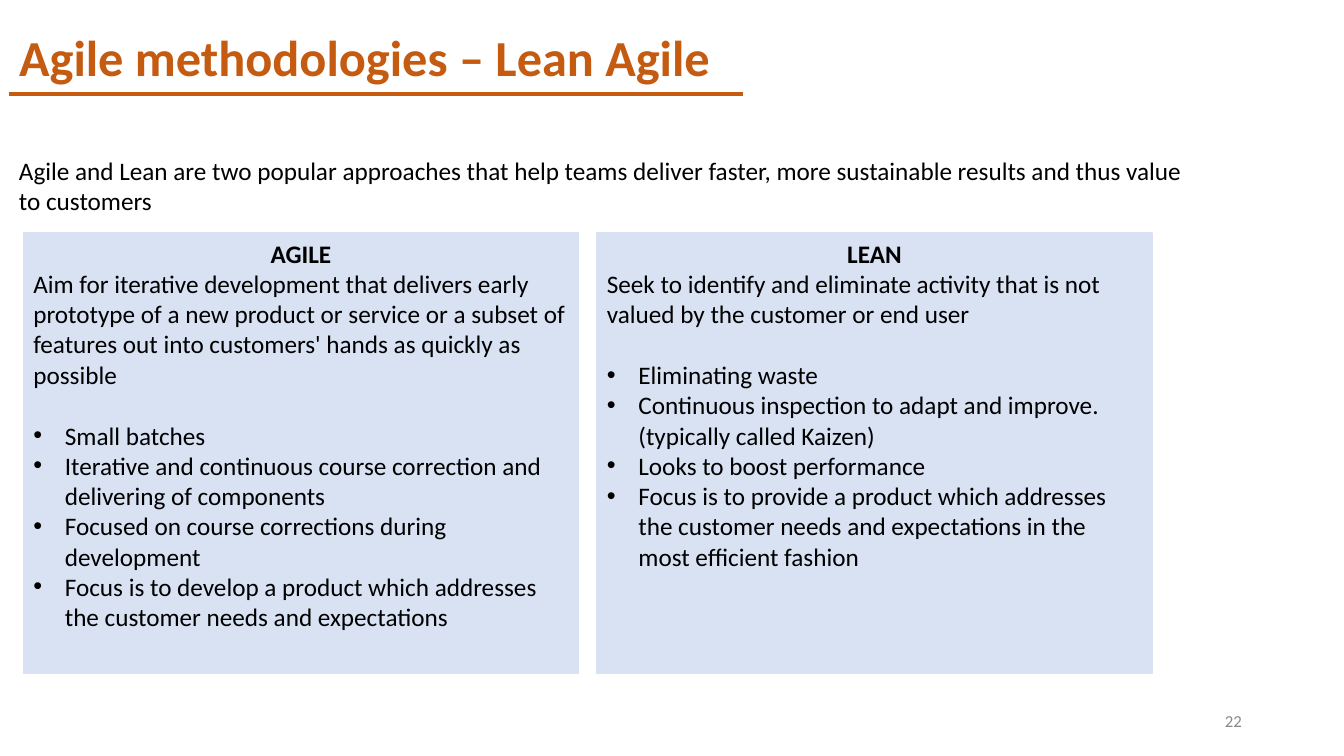
import dataclasses

import lxml.etree
import pptx
import pptx.dml.color
import pptx.enum.shapes
import pptx.enum.text
import pptx.oxml.ns
import pptx.util

Pt = pptx.util.Pt
ALIGN = pptx.enum.text.PP_ALIGN
ANCHOR = pptx.enum.text.MSO_ANCHOR
ORANGE, BLACK, GREY, PALE_BLUE = "C55A11", "000000", "888888", "D8E2F3"
LINE_GAP = 22
BULLET_INDENT = 22.5


@dataclasses.dataclass
class Para:
    text: str
    size: float = 18
    color: str = BLACK
    bold: bool = False
    align: ALIGN = ALIGN.LEFT
    after: float = 0
    bullet: bool = False


@dataclasses.dataclass
class Panel:
    heading: str
    aim: str
    points: list[str]


def rgb(value: str) -> pptx.dml.color.RGBColor:
    return pptx.dml.color.RGBColor.from_string(value)


def set_attrs(target, values: dict) -> None:
    for name, value in values.items():
        setattr(target, name, value)


def place(sp, left: float, top: float, width: float, height: float) -> None:
    set_attrs(sp, {"left": Pt(left), "top": Pt(top),
                   "width": Pt(width), "height": Pt(height)})


def set_bullet(p, shown: bool) -> None:
    pPr = p._p.get_or_add_pPr()
    indent = Pt(BULLET_INDENT) if shown else 0
    pPr.set("marL", str(indent))
    pPr.set("indent", str(-indent))
    qn = pptx.oxml.ns.qn
    if not shown:
        lxml.etree.SubElement(pPr, qn("a:buNone"))
        return
    color = lxml.etree.SubElement(pPr, qn("a:buClr"))
    lxml.etree.SubElement(color, qn("a:srgbClr"), val=BLACK)
    lxml.etree.SubElement(pPr, qn("a:buFont"), typeface="Arial")
    lxml.etree.SubElement(pPr, qn("a:buChar"), char="•")


def write(sp, paras: list[Para], anchor: ANCHOR = ANCHOR.TOP) -> None:
    tf = sp.text_frame
    set_attrs(tf, {"word_wrap": True, "vertical_anchor": anchor,
                   "auto_size": pptx.enum.text.MSO_AUTO_SIZE.NONE})
    for i, para in enumerate(paras):
        p = tf.add_paragraph() if i else tf.paragraphs[0]
        set_attrs(p, {"alignment": para.align, "line_spacing": 1.0,
                      "space_before": Pt(0), "space_after": Pt(para.after)})
        set_bullet(p, para.bullet)
        r = p.add_run()
        r.text = para.text
        set_attrs(r.font, {"name": "Calibri", "size": Pt(para.size), "bold": para.bold})
        r.font.color.rgb = rgb(para.color)


def draw_panel(sp, panel: Panel, left: float) -> None:
    place(sp, left, 166.3, 396.7, 314.6)
    sp.fill.solid()
    sp.fill.fore_color.rgb = rgb(PALE_BLUE)
    sp.line.color.rgb = rgb(PALE_BLUE)
    sp.line.width = Pt(1)
    write(sp, [Para(panel.heading, bold=True, align=ALIGN.CENTER),
               Para(panel.aim, after=LINE_GAP),
               *(Para(point, bullet=True) for point in panel.points)])


PANELS = [
    Panel("AGILE",
          "Aim for iterative development that delivers early prototype of a new product "
          "or service or a subset of features out into customers' hands as quickly as possible",
          ["Small batches",
           "Iterative and continuous course correction and delivering of components",
           "Focused on course corrections during development",
           "Focus is to develop a product which addresses the customer needs and expectations"]),
    Panel("LEAN",
          "Seek to identify and eliminate activity that is not valued by the customer or end user",
          ["Eliminating waste",
           "Continuous inspection to adapt and improve. (typically called Kaizen)",
           "Looks to boost performance",
           "Focus is to provide a product which addresses the customer needs and "
           "expectations in the most efficient fashion"]),
]


def main() -> None:
    prs = pptx.Presentation()
    set_attrs(prs, {"slide_width": Pt(960), "slide_height": Pt(540)})
    s = prs.slides.add_slide(prs.slide_layouts.get_by_name("Two Content"))

    # Title and its underline
    title = s.shapes.title
    place(title, 6.5, 15.1, 850.3, 36)
    write(title, [Para("Agile methodologies – Lean Agile", 36, ORANGE, bold=True)])
    rule = s.shapes.add_connector(pptx.enum.shapes.MSO_CONNECTOR.STRAIGHT,
                                  Pt(6.5), Pt(67), Pt(530.6), Pt(67))
    rule.line.color.rgb = rgb(ORANGE)
    rule.line.width = Pt(3)
    lxml.etree.SubElement(rule._element.spPr, pptx.oxml.ns.qn("a:effectLst"))

    # Introduction
    intro = s.shapes.add_textbox(Pt(6.5), Pt(107.3), Pt(861.1), Pt(51.1))
    write(intro, [Para("Agile and Lean are two popular approaches that help teams deliver "
                       "faster, more sustainable results and thus value to customers")])

    # Two panels side by side
    for i, panel in enumerate(PANELS):
        draw_panel(s.placeholders[i + 1], panel, 16.6 + i * 409.7)

    # Page number
    number = s.shapes.add_textbox(Pt(678.2), Pt(500.4), Pt(216), Pt(28.8))
    write(number, [Para("22", 12, GREY, align=ALIGN.RIGHT)], ANCHOR.MIDDLE)

    prs.save("out.pptx")


if __name__ == "__main__":
    main()
